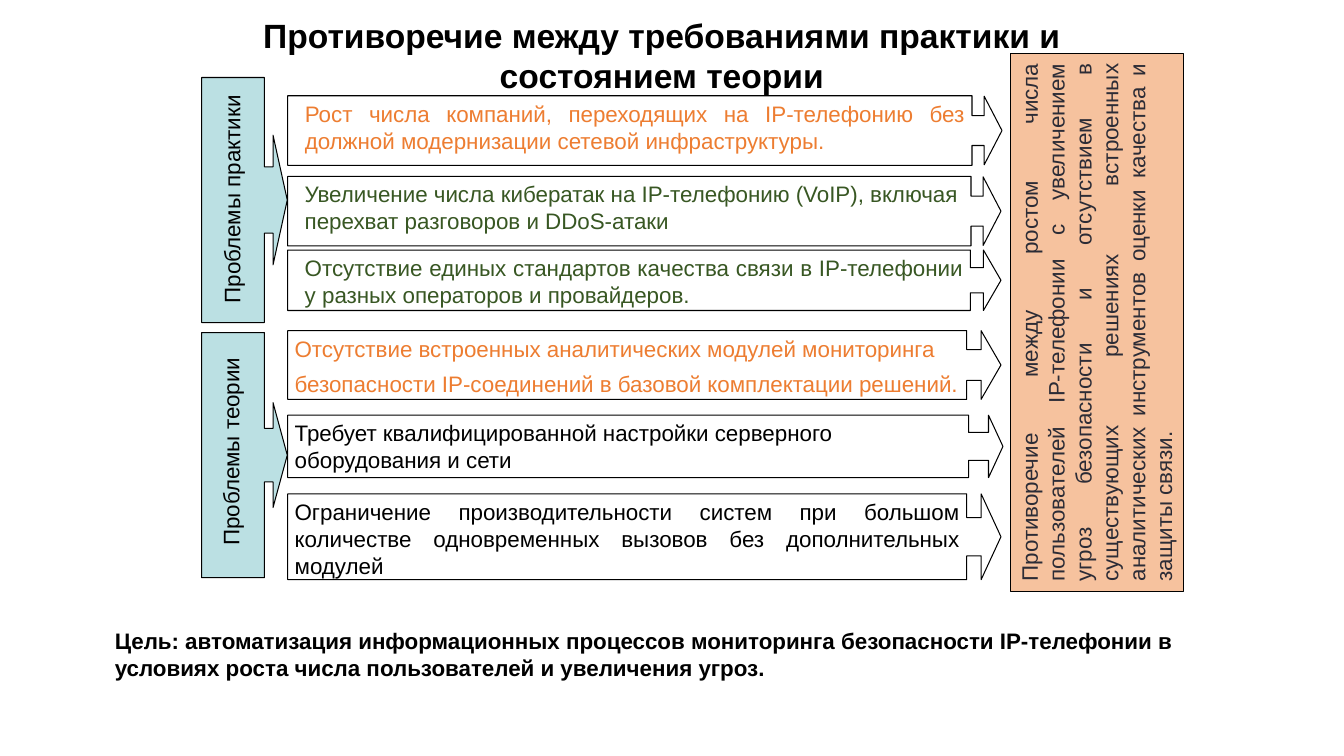
from lxml import etree
from pptx import Presentation
from pptx.dml.color import RGBColor
from pptx.enum import shapes, text
from pptx.oxml.ns import qn
from pptx.util import Pt

BLACK = RGBColor(0x00, 0x00, 0x00)
WHITE = RGBColor(0xFF, 0xFF, 0xFF)
TEAL = RGBColor(0xBB, 0xE0, 0xE3)
PEACH = RGBColor(0xF4, 0xB1, 0x83)
ORANGE = RGBColor(0xED, 0x7D, 0x31)
GREEN = RGBColor(0x38, 0x57, 0x23)
INK = RGBColor(0x2C, 0x2C, 0x36)

LEFT, CENTER, JUSTIFY = text.PP_ALIGN.LEFT, text.PP_ALIGN.CENTER, text.PP_ALIGN.JUSTIFY

TITLE = "Противоречие между требованиями практики и состоянием теории"
GOAL = ("Цель: автоматизация информационных процессов мониторинга безопасности "
        "IP-телефонии в условиях роста числа пользователей и увеличения угроз.")
CONTRADICTION = (
    "Противоречие между ростом числа пользователей IP-телефонии с увеличением угроз "
    "безопасности и отсутствием в существующих решениях встроенных аналитических "
    "инструментов оценки качества и защиты связи.")

# top, height, right edge, callout proportions, paragraphs, text format
PROBLEMS = [
    (68.4, 49.7, 715.7, (0.43, 0.493, 0.256, 0.958),
     ["Рост числа компаний, переходящих на IP-телефонию без должной модернизации "
      "сетевой инфраструктуры."],
     dict(color=ORANGE, align=JUSTIFY, indent=7.2)),
    (126, 49.7, 715, (0.43, 0.493, 0.256, 0.958),
     ["Увеличение числа кибератак на IP-телефонию (VoIP), включая перехват "
      "разговоров и DDoS-атаки"],
     dict(color=GREEN, indent=7.2)),
    (178.6, 43.2, 715, (0.416, 0.5, 0.29, 0.957),
     ["Отсутствие единых стандартов качества связи в IP-телефонии у разных "
      "операторов и провайдеров."],
     dict(color=GREEN, align=JUSTIFY, indent=7.2)),
    (236.2, 49, 715, (0.447, 0.5, 0.289, 0.952),
     ["Отсутствие встроенных аналитических модулей мониторинга",
      "безопасности IP-соединений в базовой комплектации решений."],
     dict(color=ORANGE, align=JUSTIFY, after=6, wrap=False)),
    (296.6, 44.6, 716.4, (0.447, 0.5, 0.231, 0.952),
     ["Требует квалифицированной настройки серверного оборудования и сети"], {}),
    (352.8, 61.2, 715, (0.447, 0.5, 0.231, 0.952),
     ["Ограничение производительности систем при большом количестве одновременных "
      "вызовов без дополнительных модулей"],
     dict(align=JUSTIFY)),
]
PROBLEM_LEFT = 205.5

# panel top, callout proportions, label, label box (left, top, width), alignment
GROUPS = [
    (55.4, (0.772, 0.756, 0.166, 0.734), "Проблемы практики", (73.4, 132.5, 189.4), LEFT),
    (237.6, (0.625, 0.612, 0.166, 0.734), "Проблемы теории", (62.6, 319, 209.5), CENTER),
]
GROUP_LEFT, GROUP_WIDTH, GROUP_HEIGHT = 144, 61.2, 175


def write(shape, paragraphs, size=16, color=BLACK, bold=False, align=LEFT, indent=0,
          after=0, spacing=1.0, wrap=True, insets=(7.2, 3.6, 7.2, 3.6)):
    frame = shape.text_frame
    frame.auto_size = text.MSO_AUTO_SIZE.NONE
    frame.word_wrap = wrap
    frame.vertical_anchor = text.MSO_ANCHOR.TOP
    (frame.margin_left, frame.margin_top,
     frame.margin_right, frame.margin_bottom) = map(Pt, insets)
    for number, words in enumerate(paragraphs):
        para = frame.add_paragraph() if number else frame.paragraphs[0]
        para.alignment = align
        para.line_spacing = spacing
        para.space_before, para.space_after = Pt(0), Pt(after)
        para._p.get_or_add_pPr().set("marL", str(Pt(indent)))
        span = para.add_run()
        span.text = words
        span.font.name, span.font.size, span.font.bold = "Arial", Pt(size), bold
        span.font.color.rgb = color


def add_panel(slide, preset, left, top, width, height, fill, proportions=()):
    panel = slide.shapes.add_shape(preset, Pt(left), Pt(top), Pt(width), Pt(height))
    panel.shadow.inherit = False
    panel.fill.solid()
    panel.fill.fore_color.rgb = fill
    panel.line.color.rgb = BLACK
    panel.line.width = Pt(0.75)
    for number, value in enumerate(proportions):
        panel.adjustments[number] = value
    return panel


def add_text(slide, left, top, width, height, words, rotation=0, **style):
    box = slide.shapes.add_textbox(Pt(left), Pt(top), Pt(width), Pt(height))
    box.rotation = rotation
    write(box, [words], **style)


def main():
    deck = Presentation()
    deck.slide_width, deck.slide_height = Pt(960), Pt(540)
    slide = deck.slides.add_slide(deck.slide_layouts[5])
    callout = shapes.MSO_SHAPE.RIGHT_ARROW_CALLOUT

    title = slide.shapes.title
    title.left, title.top, title.width, title.height = Pt(126.7), Pt(3.6), Pt(692), Pt(28)
    write(title, [TITLE], size=24, bold=True, align=CENTER, insets=(7.2, 6.8, 7.2, 3.6))

    for top, proportions, label, (left, label_top, width), align in GROUPS:
        add_panel(slide, callout, GROUP_LEFT, top, GROUP_WIDTH, GROUP_HEIGHT,
                  TEAL, proportions)
        add_text(slide, left, label_top, width, 21.6, label, rotation=270,
                 align=align, indent=14.4, spacing=Pt(14))

    for top, height, right, proportions, paragraphs, style in PROBLEMS:
        panel = add_panel(slide, callout, PROBLEM_LEFT, top, right - PROBLEM_LEFT, height,
                          WHITE, proportions)
        write(panel, paragraphs, insets=(5, 2.9, 5, 2.9), **style)

    conclusion = add_panel(slide, shapes.MSO_SHAPE.RECTANGLE, 591.8, 168.5, 383.8, 123.8,
                           PEACH)
    conclusion.rotation = 270
    fill_color = conclusion._element.spPr.find(qn("a:solidFill"))[0]
    etree.SubElement(fill_color, qn("a:alpha")).set("val", "78000")
    write(conclusion, [CONTRADICTION], color=INK, align=JUSTIFY)

    add_text(slide, 74.9, 444.2, 810, 46, GOAL, bold=True)
    deck.save("out.pptx")


if __name__ == "__main__":
    main()
